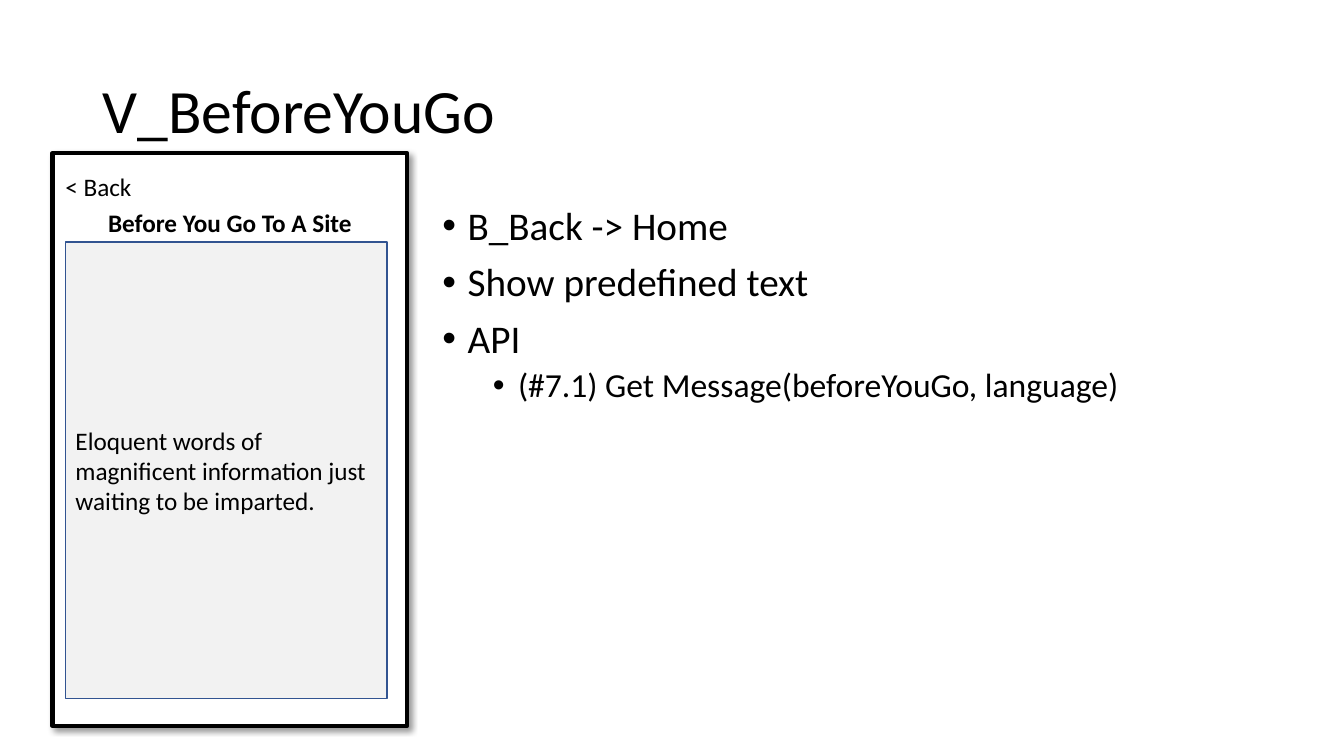
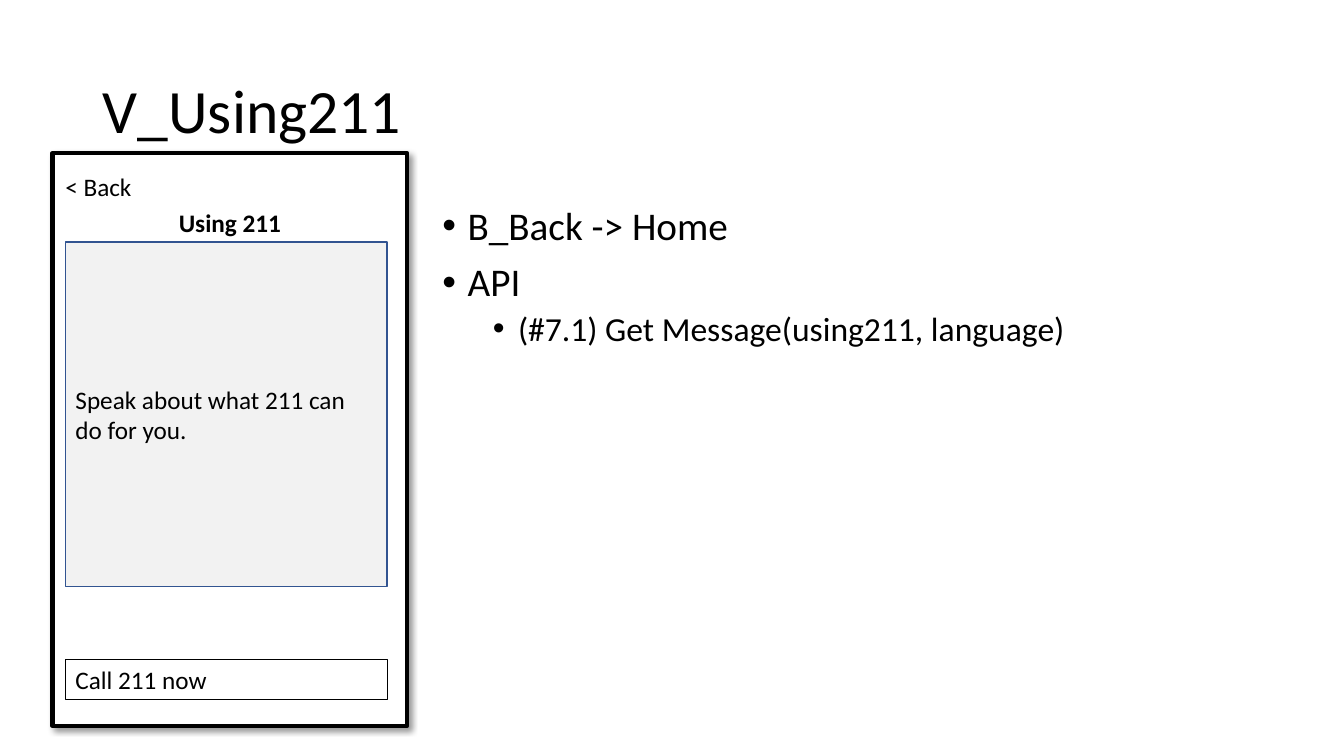
from lxml import etree
from pptx import Presentation
from pptx.dml.color import RGBColor
from pptx.enum.shapes import MSO_SHAPE as SHAPE
from pptx.enum.text import MSO_ANCHOR as ANCHOR, MSO_AUTO_SIZE as AUTO, PP_ALIGN as ALIGN
from pptx.oxml import parse_xml
from pptx.oxml.ns import nsdecls, qn
from pptx.util import Inches, Pt

FONT = "Calibri"
COLORS = {"text": "000000", "paper": "FFFFFF", "panel": "F2F2F2", "panel_line": "325491"}
PHONE_LEFT, PHONE_TOP, PHONE_WIDTH, PHONE_HEIGHT = 0.52, 1.52, 3.52, 5.68
INNER_LEFT, INNER_WIDTH, PANEL_TOP = 0.65, 3.19, 2.4
LEVELS = [(28, 0.25, 10), (24, 0.75, 5)]

SCREENS = [
    {
        "title": "V_BeforeYouGo",
        "notes": [
            ("B_Back -> Home", 0),
            ("Show predefined text", 0),
            ("API", 0),
            ("(#7.1) Get Message(beforeYouGo, language)", 1),
        ],
        "heading": "Before You Go To A Site",
        "message": "Eloquent words of magnificent information just waiting to be imparted.",
        "panel_height": 4.53,
        "button": None,
    },
    {
        "title": "V_Using211",
        "notes": [
            ("B_Back -> Home", 0),
            ("API", 0),
            ("(#7.1) Get Message(using211, language)", 1),
        ],
        "heading": "Using 211",
        "message": "Speak about what 211 can do for you.",
        "panel_height": 3.42,
        "button": "Call 211 now",
    },
]


def color(name):
    return RGBColor.from_string(COLORS[name])


def style(p, size, bold=False, align=ALIGN.LEFT):
    p.alignment = align
    for r in p.runs:
        r.font.name = FONT
        r.font.size = Pt(size)
        r.font.bold = bold
        r.font.color.rgb = color("text")


def add_title(s, text):
    sp = s.shapes.title
    sp.left, sp.top, sp.width, sp.height = map(Inches, (0.92, 0.4, 11.5, 1.45))
    tf = sp.text_frame
    tf.text = text
    tf.vertical_anchor = ANCHOR.MIDDLE
    p = tf.paragraphs[0]
    p.line_spacing = 0.9
    style(p, 44)


def add_bullet(p, indent):
    pPr = p._p.get_or_add_pPr()
    pPr.set("marL", str(Inches(indent)))
    pPr.set("indent", str(Inches(-0.25)))
    etree.SubElement(pPr, qn("a:buFont")).set("typeface", "Arial")
    etree.SubElement(pPr, qn("a:buChar")).set("char", "•")


def add_notes(s, notes):
    tf = s.shapes.add_textbox(*map(Inches, (4.29, 2, 8.13, 4.76))).text_frame
    tf.word_wrap = True
    for i, (text, level) in enumerate(notes):
        p = tf.paragraphs[0] if i == 0 else tf.add_paragraph()
        p.text = text
        p.level = level
        size, indent, before = LEVELS[level]
        add_bullet(p, indent)
        p.line_spacing = 0.9
        p.space_before = Pt(before if i else 0)
        style(p, size)


def add_label(s, box, text, bold=False, align=ALIGN.LEFT, wrap=True):
    tf = s.shapes.add_textbox(*map(Inches, box)).text_frame
    tf.text = text
    tf.word_wrap = wrap
    tf.auto_size = AUTO.SHAPE_TO_FIT_TEXT
    style(tf.paragraphs[0], 18, bold, align)


def add_box(s, box, fill, line, width, text=""):
    sp = s.shapes.add_shape(SHAPE.RECTANGLE, *map(Inches, box))
    sp.shadow.inherit = False
    if fill:
        sp.fill.solid()
        sp.fill.fore_color.rgb = color(fill)
    else:
        sp.fill.background()
    sp.line.color.rgb = color(line)
    sp.line.width = Pt(width)
    if text:
        tf = sp.text_frame
        tf.text = text
        tf.word_wrap = True
        tf.vertical_anchor = ANCHOR.MIDDLE
        style(tf.paragraphs[0], 18)
    return sp


def add_shadow(sp):
    effects = sp._element.spPr.find(qn("a:effectLst"))
    effects.append(parse_xml(
        f'<a:outerShdw {nsdecls("a")} blurRad="{Pt(4)}" dist="{Pt(3)}" dir="2700000" '
        f'algn="tl" rotWithShape="0"><a:srgbClr val="{COLORS["text"]}">'
        '<a:alpha val="40000"/></a:srgbClr></a:outerShdw>'))


def add_phone(s, screen):
    frame = add_box(s, (PHONE_LEFT, PHONE_TOP, PHONE_WIDTH, PHONE_HEIGHT), "paper", "text", 3)
    add_shadow(frame)
    add_label(s, (PHONE_LEFT, 2.01, PHONE_WIDTH, 0.4), screen["heading"], True, ALIGN.CENTER)
    add_label(s, (0.55, 1.65, 0.86, 0.4), "< Back", wrap=False)
    add_box(s, (INNER_LEFT, PANEL_TOP, INNER_WIDTH, screen["panel_height"]),
            "panel", "panel_line", 1, screen["message"])
    if screen["button"]:
        add_box(s, (INNER_LEFT, 6.54, INNER_WIDTH, 0.4), None, "text", 0.75, screen["button"])


def main():
    prs = Presentation()
    prs.slide_width, prs.slide_height = Inches(13.33), Inches(7.5)
    for screen in SCREENS:
        s = prs.slides.add_slide(prs.slide_layouts[5])
        add_title(s, screen["title"])
        add_notes(s, screen["notes"])
        add_phone(s, screen)
    prs.save("out.pptx")


if __name__ == "__main__":
    main()
